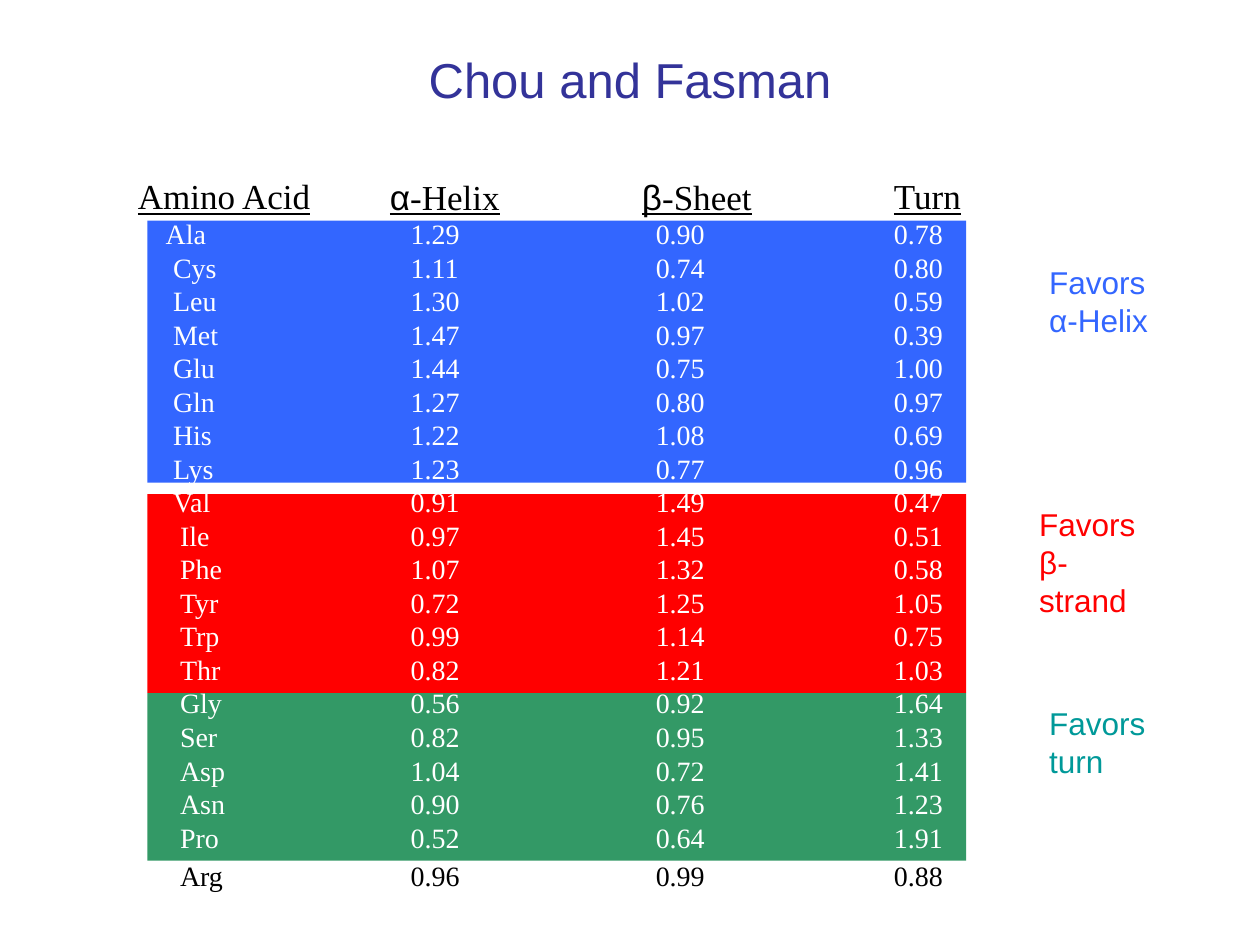
from typing import NamedTuple

from pptx import Presentation
from pptx.dml.color import RGBColor
from pptx.enum.shapes import MSO_SHAPE
from pptx.enum.text import MSO_ANCHOR, PP_ALIGN
from pptx.util import Cm, Pt

RECTANGLE = MSO_SHAPE.RECTANGLE
MIDDLE = MSO_ANCHOR.MIDDLE
CENTER = PP_ALIGN.CENTER
LEFT = PP_ALIGN.LEFT

COLORS = {
    "black": "000000",
    "white": "FFFFFF",
    "title": "333399",
    "helix": "3366FF",
    "strand": "FF0000",
    "turn": "339966",
    "turn_label": "009999",
}
SANS = "Arial"
SERIF = "Times New Roman"
NO_STYLE_NO_GRID = "{2D5ABB26-0587-4C30-8999-92F81FD0307C}"

TABLE_LEFT, TABLE_TOP = 2.78, 3.58
HEADER_HEIGHT, LAST_ROW_HEIGHT = 0.82, 0.86
BODY_TOP, BODY_BOTTOM = 4.4, 17.25
COLUMN_WIDTHS = (5.08, 5.08, 5.08, 2.6)
VALUE_INDENTS = (0.42, 0.28, 0)
HEADERS = ("Amino Acid", "α-Helix", "β-Sheet", "Turn")


class Band(NamedTuple):
    top: float
    height: float
    color: str


class Label(NamedTuple):
    lines: tuple[str, str]
    left: float
    top: float
    width: float
    color: str


class Residue(NamedTuple):
    name: str
    helix: str
    sheet: str
    turn: str
    indent: float = 0.85
    color: str = "white"


BANDS = (
    Band(13.97, 3.38, "turn"),
    Band(9.96, 4.01, "strand"),
    Band(4.45, 5.28, "helix"),
)
LABELS = (
    Label(("Favors", "α-Helix"), 20.9, 5.18, 2.7, "helix"),
    Label(("Favors", "β-strand"), 20.7, 10.06, 2.7, "strand"),
    Label(("Favors", "turn"), 20.9, 14.07, 2.7, "turn_label"),
)
RESIDUES = (
    Residue("Ala", "1.29", "0.90", "0.78", 0.56),
    Residue("Cys", "1.11", "0.74", "0.80", 0.71),
    Residue("Leu", "1.30", "1.02", "0.59", 0.71),
    Residue("Met", "1.47", "0.97", "0.39", 0.71),
    Residue("Glu", "1.44", "0.75", "1.00", 0.71),
    Residue("Gln", "1.27", "0.80", "0.97", 0.71),
    Residue("His", "1.22", "1.08", "0.69", 0.71),
    Residue("Lys", "1.23", "0.77", "0.96", 0.71),
    Residue("Val", "0.91", "1.49", "0.47", 0.71),
    Residue("Ile", "0.97", "1.45", "0.51"),
    Residue("Phe", "1.07", "1.32", "0.58"),
    Residue("Tyr", "0.72", "1.25", "1.05"),
    Residue("Trp", "0.99", "1.14", "0.75"),
    Residue("Thr", "0.82", "1.21", "1.03"),
    Residue("Gly", "0.56", "0.92", "1.64"),
    Residue("Ser", "0.82", "0.95", "1.33"),
    Residue("Asp", "1.04", "0.72", "1.41"),
    Residue("Asn", "0.90", "0.76", "1.23"),
    Residue("Pro", "0.52", "0.64", "1.91"),
    Residue("Arg", "0.96", "0.99", "0.88", color="black"),
)


def write(paragraph, text: str, *, size: float, color: str, font: str = SANS,
          underline: bool = False, align=LEFT) -> None:
    """Add one formatted run to a paragraph."""
    paragraph.alignment = align
    run = paragraph.add_run()
    run.text = text
    run.font.name = font
    run.font.size = Pt(size)
    run.font.underline = underline
    run.font.color.rgb = RGBColor.from_string(COLORS[color])


def draw_band(slide, band: Band) -> None:
    """Draw the coloured block behind one group of residues."""
    block = slide.shapes.add_shape(
        RECTANGLE, Cm(2.97), Cm(band.top), Cm(16.51), Cm(band.height))
    block.shadow.inherit = False
    block.fill.solid()
    block.fill.fore_color.rgb = RGBColor.from_string(COLORS[band.color])
    block.line.fill.background()


def draw_title(slide) -> None:
    """Draw the slide heading."""
    frame = slide.shapes.add_textbox(Cm(1.27), 0, Cm(22.86), Cm(3.18)).text_frame
    frame.word_wrap = True
    frame.vertical_anchor = MIDDLE
    write(frame.paragraphs[0], "Chou and Fasman", size=28, color="title", align=CENTER)


def draw_label(slide, label: Label) -> None:
    """Draw the note beside one group of residues."""
    frame = slide.shapes.add_textbox(
        Cm(label.left), Cm(label.top), Cm(label.width), Cm(1.78)).text_frame
    frame.word_wrap = True
    first, second = label.lines
    write(frame.paragraphs[0], first, size=18, color=label.color)
    write(frame.add_paragraph(), second, size=18, color=label.color)


def prepare_cell(cell, indent: float):
    """Clear a cell's fill and margins and return its paragraph."""
    cell.fill.background()
    cell.margin_left = Cm(indent)
    cell.margin_right = cell.margin_top = cell.margin_bottom = 0
    cell.vertical_anchor = MIDDLE
    return cell.text_frame.paragraphs[0]


def draw_propensities(slide) -> None:
    """Draw the table of residue propensities."""
    row_height = (BODY_BOTTOM - BODY_TOP) / (len(RESIDUES) - 1)
    heights = [HEADER_HEIGHT] + [row_height] * (len(RESIDUES) - 1) + [LAST_ROW_HEIGHT]
    table = slide.shapes.add_table(
        len(heights), len(HEADERS), Cm(TABLE_LEFT), Cm(TABLE_TOP),
        Cm(sum(COLUMN_WIDTHS)), Cm(sum(heights))).table
    table.first_row = table.horz_banding = False
    table._tbl.tblPr[0].text = NO_STYLE_NO_GRID
    for column, width in zip(table.columns, COLUMN_WIDTHS):
        column.width = Cm(width)
    for row, height in zip(table.rows, heights):
        row.height = Cm(height)

    for column, header in enumerate(HEADERS):
        paragraph = prepare_cell(table.cell(0, column), 0)
        greek = header[0] if header[0] in "αβ" else ""
        if greek:
            write(paragraph, greek, size=20, color="black", underline=True)
        write(paragraph, header.removeprefix(greek), size=20, color="black",
              font=SERIF, underline=True)

    for row, residue in enumerate(RESIDUES, start=1):
        indents = (residue.indent, *VALUE_INDENTS)
        for column, (text, indent) in enumerate(zip(residue[:4], indents)):
            paragraph = prepare_cell(table.cell(row, column), indent)
            write(paragraph, text, size=16, color=residue.color, font=SERIF)


def main() -> None:
    """Build and save the slide."""
    presentation = Presentation()
    presentation.slide_width, presentation.slide_height = Cm(25.4), Cm(19.05)
    slide = presentation.slides.add_slide(presentation.slide_layouts[6])
    for band in BANDS:
        draw_band(slide, band)
    draw_propensities(slide)
    draw_title(slide)
    for label in LABELS:
        draw_label(slide, label)
    presentation.save("out.pptx")


if __name__ == "__main__":
    main()
